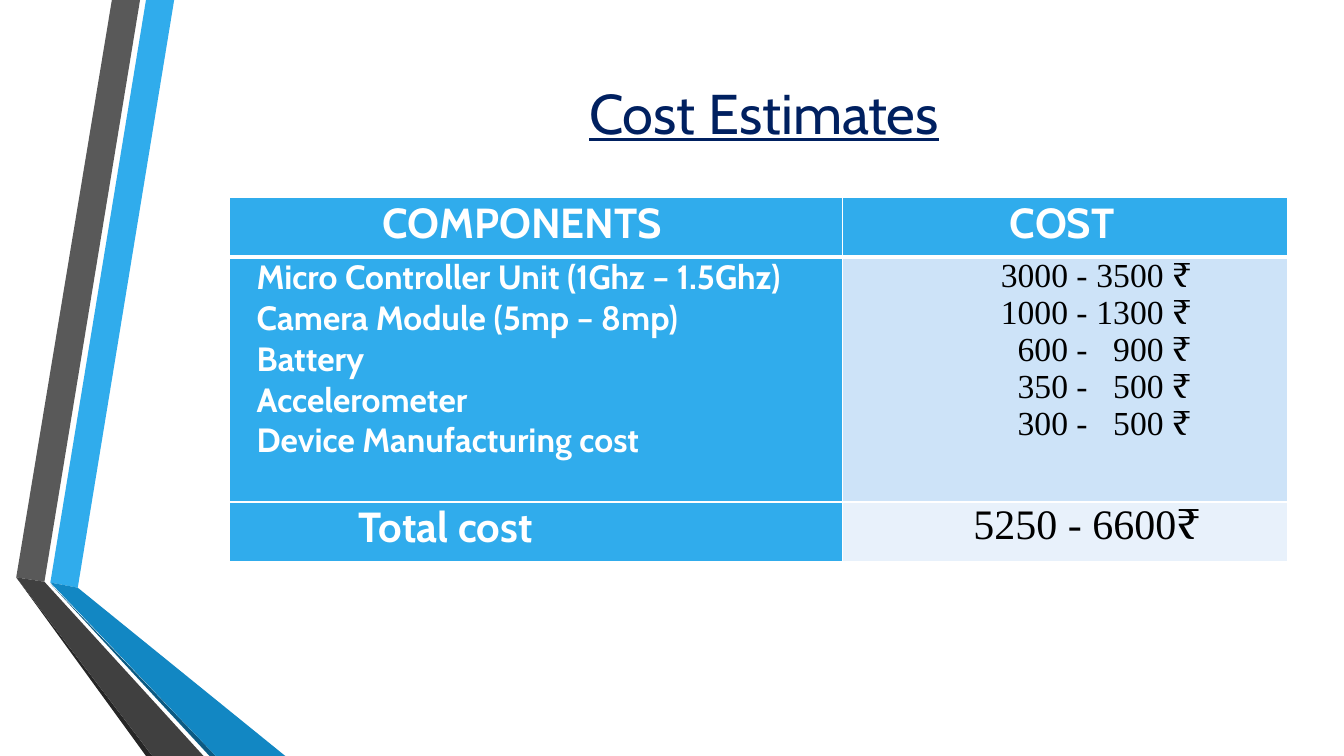
from lxml import etree
from pptx import Presentation
from pptx import util as u
from pptx.dml.color import RGBColor
from pptx.enum import text
from pptx.oxml.ns import qn

BLUE, WHITE, BLACK = "30ACEC", "FFFFFF", "000000"


def rgb(value):
    return RGBColor.from_string(value)


def write(p, content, size, color, font="Cabin", bold=False, underline=False):
    r = p.add_run()
    r.text = content
    f = r.font
    f.name, f.size, f.bold, f.underline = font, u.Pt(size), bold, underline
    f.color.rgb = rgb(color)


prs = Presentation()
prs.slide_width, prs.slide_height = u.Cm(33.87), u.Cm(19.05)
s = prs.slides.add_slide(prs.slide_layouts[6])

# Folded ribbons on the left: colour and corner points in cm
ribbons = [
    (BLUE, [(1.27, 14.68), (1.96, 14.81), (4.39, 0), (3.68, 0)]),
    ("595959", [(3.53, 0), (2.82, 0), (0.41, 14.55), (1.12, 14.66)]),
    ("262626", [(0.41, 14.55), (3.68, 19.05), (3.84, 19.05)]),
    ("0C5A82", [(1.27, 14.71), (5.28, 19.05), (5.44, 19.05)]),
    ("1287C3", [(1.27, 14.68), (5.44, 19.05), (7.19, 19.05), (1.96, 14.81)]),
    ("404040", [(5.13, 19.05), (1.12, 14.66), (0.41, 14.55), (3.84, 19.05)]),
]
for color, corners in ribbons:
    points = [(u.Cm(x), u.Cm(y)) for x, y in corners]
    outline = s.shapes.build_freeform(*points[0], scale=1.0)
    outline.add_line_segments(points[1:], close=True)
    sp = outline.convert_to_shape()
    sp.shadow.inherit = False
    sp.fill.solid()
    sp.fill.fore_color.rgb = rgb(color)
    sp.line.fill.background()

# Title
tf = s.shapes.add_textbox(u.Cm(4.65), u.Cm(1.75), u.Cm(29.21), u.Cm(2.13)).text_frame
tf.word_wrap = True
tf.vertical_anchor = text.MSO_ANCHOR.MIDDLE
p = tf.paragraphs[0]
p.alignment = text.PP_ALIGN.CENTER
write(p, "Cost Estimates", 40, "002060", underline=True)

# Cost table: lines, left inset in cm, size, fill
label = dict(color=WHITE, bold=True)
amount = dict(color=BLACK, font="Times New Roman")
rows = [
    [(["COMPONENTS"], 3.85, 30, BLUE, label), (["COST"], 4.22, 30, BLUE, label)],
    [
        (["Micro Controller Unit (1Ghz – 1.5Ghz)", "Camera Module (5mp – 8mp)",
          "Battery", "Accelerometer", "Device Manufacturing cost"],
         0.68, 24, BLUE, label),
        (["\t3000 -\t3500 ₹", "\t1000 -\t1300 ₹", "\t600 -\t900 ₹",
          "\t350 -\t500 ₹", "\t300 -\t500 ₹"],
         0.18, 24, "CDE3F8", amount),
    ],
    [(["Total cost"], 3.25, 30, BLUE, label),
     (["5250 - 6600₹"], 3.3, 30, "E8F1FB", amount)],
]
table = s.shapes.add_table(3, 2, u.Cm(5.79), u.Cm(4.98), u.Cm(26.67), u.Cm(9.17)).table
for column, width in zip(table.columns, (15.44, 11.23)):
    column.width = u.Cm(width)
for row, height in zip(table.rows, (1.5, 6.17, 1.5)):
    row.height = u.Cm(height)

for i, row in enumerate(rows):
    for j, (lines, inset, size, fill, style) in enumerate(row):
        cell = table.cell(i, j)
        cell.margin_left, cell.margin_right = u.Cm(inset), u.Cm(0.18)
        cell.margin_top = cell.margin_bottom = 0

        # White borders, thicker below the header
        tcPr = cell._tc.get_or_add_tcPr()
        for side in "LRTB":
            thick = (i, side) in ((0, "B"), (1, "T"))
            ln = etree.SubElement(tcPr, qn(f"a:ln{side}"), w=str(u.Pt(3 if thick else 1)))
            solid = etree.SubElement(ln, qn("a:solidFill"))
            etree.SubElement(solid, qn("a:srgbClr"), val=WHITE)
        cell.fill.solid()
        cell.fill.fore_color.rgb = rgb(fill)

        for n, line in enumerate(lines):
            tf = cell.text_frame
            p = tf.paragraphs[0] if n == 0 else tf.add_paragraph()
            write(p, line, size, **style)
            if "\t" in line:
                # Right tab stops line up both ends of each price range
                tabs = etree.SubElement(p._p.get_or_add_pPr(), qn("a:tabLst"))
                for stop in (6, 8.6):
                    etree.SubElement(tabs, qn("a:tab"), pos=str(u.Cm(stop)), algn="r")

prs.save("out.pptx")
